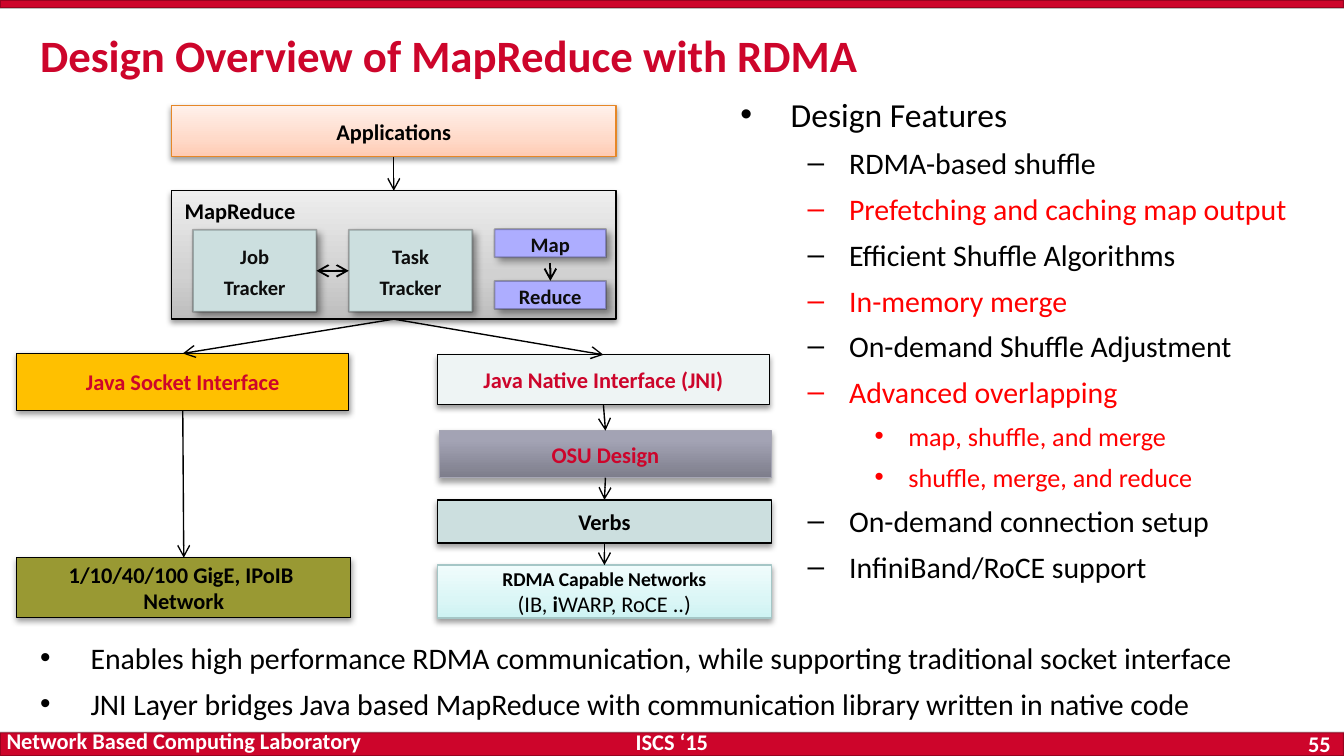
import copy

import pptx
import pptx.dml.color
import pptx.enum.shapes
import pptx.enum.text
import pptx.oxml
import pptx.oxml.ns
import pptx.util

Align = pptx.enum.text.PP_ALIGN
Anchor = pptx.enum.text.MSO_ANCHOR
Shapes = pptx.enum.shapes
qn = pptx.oxml.ns.qn
Pt = pptx.util.Pt

THEME = {
    "font": "Calibri", "bullet font": "Arial",
    "red": "CD052B", "accent": "FF0000", "black": "000000", "soft": "0D0D0D", "white": "FFFFFF",
    "title": 24, "head": 18, "body": 16, "detail": 14, "label": 12, "part": 11, "small": 10.5,
    "teal": "CCDFDF", "violet": "ADADFF", "olive": "999933", "amber": "FFC000", "mist": "EEF4F4",
    "teal edge": "A5C6C6", "slate edge": "A6A6B4", "orange edge": "E68727",
    "grey": [(0, "BDBDBD"), (0.35, "D1D1D1"), (1, "EEEEEE")],
    "aqua": [(0, "CDF3F3"), (0.35, "DBF6F6"), (1, "F0FCFC")],
    "slate": [(0, "7D7D8B"), (0.8, "A3A3B4"), (1, "A3A3B6")],
    "peach": [(0, "FFCBB3"), (0.35, "FFDAC9"), (1, "FFF1EB")],
    # opacity %, blur pt, distance pt, angle
    "drop": (38, 3.1, 1.6, 90), "corner": (40, 4, 3, 45),
}
RED, BLACK, SOFT, WHITE = (THEME[key] for key in ("red", "black", "soft", "white"))
LABEL, PART = THEME["label"], THEME["part"]

deck = pptx.Presentation()
deck.slide_width = pptx.util.Inches(10)
deck.slide_height = deck.slide_width * 9 // 16
slide = deck.slides.add_slide(deck.slide_layouts[6])
COL, ROW = deck.slide_width / 100, deck.slide_height / 56.25


def to_grid(left, top, width, height):
    """Turn columns and rows into slide lengths."""
    return [round(left * COL), round(top * ROW), round(width * COL), round(height * ROW)]


def add_runs(paragraph, runs):
    """Add (text, size, colour, bold) runs; a newline becomes a line break."""
    for text, size, colour, bold in runs:
        for number, piece in enumerate(text.split("\n")):
            if number:
                paragraph.add_line_break()
            run = paragraph.add_run()
            run.text = piece
            run.font.name = THEME["font"]
            run.font.size = Pt(size)
            run.font.bold = bold
            run.font.color.rgb = pptx.dml.color.RGBColor.from_string(colour)


# name: grid place, fill, edge colour (None for a faint edge), shadow, paragraphs
blocks = {
    "footer bar": ((0, 54.5, 100, 1.75), RED, None, None, []),
    "top bar": ((0, 0, 100, 0.6), RED, None, None, []),
    "mapreduce": ((12.75, 14.2, 33.1, 9.55), THEME["grey"], BLACK, "drop",
                  [[("MapReduce", LABEL, BLACK, True)]]),
    "verbs": ((32.55, 37.2, 24.85, 3.2), THEME["teal"], BLACK, "drop",
              [[("Verbs", LABEL, BLACK, True)]]),
    "rdma": ((32.55, 42.05, 24.85, 3.95), THEME["aqua"], THEME["teal edge"], "drop",
             [[("RDMA Capable Networks", THEME["small"], BLACK, True)],
              [("(IB, ", LABEL, BLACK, False), ("i", LABEL, BLACK, True),
               ("WARP, RoCE ..)", LABEL, BLACK, False)]]),
    "osu": ((32.7, 32.05, 24.7, 3.5), THEME["slate"], THEME["slate edge"], "drop",
            [[("OSU Design", LABEL, RED, True)]]),
    "applications": ((12.75, 7.85, 33.1, 3.8), THEME["peach"], THEME["orange edge"], "drop",
                     [[("Applications", LABEL, BLACK, True)]]),
    "network": ((1.25, 41.5, 24.85, 4.45), THEME["olive"], BLACK, "drop",
                [[("1/10/40/100 GigE, IPoIB \nNetwork", LABEL, BLACK, True)]]),
    "socket": ((1.25, 26.3, 24.7, 4.25), THEME["amber"], BLACK, "drop",
               [[("Java Socket Interface", LABEL, RED, True)]]),
    "jni": ((32.55, 26.4, 24.7, 3.7), THEME["mist"], BLACK, "drop",
            [[("Java Native Interface (JNI)", LABEL, RED, True)]]),
    "job": ((14.35, 17.1, 9.2, 6.1), THEME["teal"], None, "corner",
            [[("Job", PART, SOFT, True)], [("Tracker", PART, SOFT, True)]]),
    "task": ((25.95, 17.1, 9.2, 6.1), THEME["teal"], None, "corner",
             [[("Task", PART, SOFT, True)], [("Tracker", PART, SOFT, True)]]),
    "map": ((36.8, 17.05, 8.3, 2.1), THEME["violet"], None, "corner",
            [[("Map", PART, SOFT, True)]]),
    "reduce": ((36.8, 20.9, 8.3, 2.1), THEME["violet"], None, "corner",
               [[("Reduce", PART, SOFT, True)]]),
}

placed = {}
for name, (place, fill, edge, shadow, paragraphs) in blocks.items():
    block = slide.shapes.add_shape(Shapes.MSO_SHAPE.RECTANGLE, *to_grid(*place))
    placed[name] = block
    properties = block._element.spPr
    if isinstance(fill, list):
        block.fill.gradient()
        block.fill.gradient_angle = 90
        stops = properties.find(qn("a:gradFill")).find(qn("a:gsLst"))
        stops.append(copy.deepcopy(stops[-1]))
        for stop, (position, colour) in zip(block.fill.gradient_stops, fill):
            stop.position = position
            stop.color.rgb = pptx.dml.color.RGBColor.from_string(colour)
    else:
        block.fill.solid()
        block.fill.fore_color.rgb = pptx.dml.color.RGBColor.from_string(fill)

    block.line.color.rgb = pptx.dml.color.RGBColor.from_string(edge or BLACK)
    block.line.width = Pt(0.75 if edge else 1)
    if not edge:
        edge_colour = properties.find(qn("a:ln")).find(".//" + qn("a:srgbClr"))
        edge_colour.append(edge_colour.makeelement(qn("a:alpha"), {"val": "25000"}))

    block.shadow.inherit = False
    if shadow:
        opacity, blur, distance, angle = THEME[shadow]
        properties.find(qn("a:effectLst")).append(pptx.oxml.parse_xml(
            '<a:outerShdw xmlns:a="http://schemas.openxmlformats.org/drawingml/2006/main" '
            f'blurRad="{Pt(blur)}" dist="{Pt(distance)}" dir="{angle * 60000}" rotWithShape="0">'
            f'<a:srgbClr val="{BLACK}"><a:alpha val="{opacity * 1000}"/></a:srgbClr></a:outerShdw>'))

    frame = block.text_frame
    frame.vertical_anchor = Anchor.TOP if name == "mapreduce" else Anchor.MIDDLE
    for number, runs in enumerate(paragraphs):
        paragraph = frame.add_paragraph() if number else frame.paragraphs[0]
        paragraph.alignment = Align.LEFT if name == "mapreduce" else Align.CENTER
        if shadow == "corner":
            paragraph.line_spacing = 1.1
            paragraph.space_before = Pt(0.2 * PART if number else 0)
        add_runs(paragraph, runs)

# from, side, to, side, weight, arrowheads, rows left free at the start
TOP, LEFT, BOTTOM, RIGHT = range(4)
flows = [
    ("verbs", BOTTOM, "rdma", TOP, 0.75, ["tailEnd"], 0),
    ("osu", BOTTOM, "verbs", TOP, 0.75, ["tailEnd"], 0),
    ("jni", BOTTOM, "osu", TOP, 0.75, ["tailEnd"], 0),
    ("applications", BOTTOM, "mapreduce", TOP, 0.75, ["tailEnd"], 0),
    ("mapreduce", BOTTOM, "socket", TOP, 0.75, ["tailEnd"], 0),
    ("mapreduce", BOTTOM, "jni", TOP, 0.75, ["tailEnd"], 0),
    ("socket", BOTTOM, "network", TOP, 0.75, ["tailEnd"], 0),
    ("job", RIGHT, "task", LEFT, 1, ["headEnd", "tailEnd"], 0),
    ("map", BOTTOM, "reduce", TOP, 1, ["tailEnd"], 0.4),
]
for origin, exit_side, target, entry_side, weight, heads, gap in flows:
    source = placed[origin]
    flow = slide.shapes.add_connector(
        Shapes.MSO_CONNECTOR.STRAIGHT, source.left + source.width // 2,
        source.top + source.height + round(gap * ROW), 0, 0)
    if not gap:
        flow.begin_connect(source, exit_side)
    flow.end_connect(placed[target], entry_side)
    flow.line.color.rgb = pptx.dml.color.RGBColor.from_string(BLACK)
    flow.line.width = Pt(weight)
    properties = flow._element.spPr
    stroke = properties.find(qn("a:ln"))
    for head in heads:
        stroke.append(stroke.makeelement(qn("a:" + head), {"type": "arrow"}))
    properties.append(properties.makeelement(qn("a:effectLst"), {}))

# grid place, anchor, alignment, text, size, colour
captions = [
    ((0, 54.4, 100, 1.5), Anchor.MIDDLE, Align.CENTER, "ISCS ‘15", LABEL, WHITE),
    ((93.4, 54.4, 6.6, 1.8), Anchor.MIDDLE, Align.RIGHT, "55", LABEL, WHITE),
    ((-0.5, 54.7, 30.2, 1.9), Anchor.BOTTOM, Align.LEFT,
     "Network Based Computing Laboratory", LABEL, WHITE),
    ((2, 1.6, 90, 5.5), Anchor.TOP, Align.LEFT,
     "Design Overview of MapReduce with RDMA", THEME["title"], RED),
]
for place, anchor, alignment, text, size, colour in captions:
    frame = slide.shapes.add_textbox(*to_grid(*place)).text_frame
    frame.word_wrap = True
    frame.vertical_anchor = anchor
    frame.paragraphs[0].alignment = alignment
    add_runs(frame.paragraphs[0], [(text, size, colour, True)])

# per level: left margin and hanging indent in columns, bullet
LEVELS = [(3.75, 3.75, "•"), (8.1, 3.1, "–"), (12.5, 2.5, "•")]
HEAD, BODY, DETAIL, ACCENT = (THEME[key] for key in ("head", "body", "detail", "accent"))
lists = [
    ((2, 47.6, 97.5, 5.8), [
        (0, "Enables high performance RDMA communication, while supporting traditional socket interface",
         BODY, BLACK),
        (0, "JNI Layer bridges Java based MapReduce with communication library written in native code",
         BODY, BLACK)]),
    ((54.1, 7.1, 45.9, 35.5), [
        (0, "Design Features", HEAD, BLACK),
        (1, "RDMA-based shuffle", BODY, BLACK),
        (1, "Prefetching and caching map output", BODY, ACCENT),
        (1, "Efficient Shuffle Algorithms", BODY, BLACK),
        (1, "In-memory merge", BODY, ACCENT),
        (1, "On-demand Shuffle Adjustment", BODY, BLACK),
        (1, "Advanced overlapping", BODY, ACCENT),
        (2, "map, shuffle, and merge", DETAIL, ACCENT),
        (2, "shuffle, merge, and reduce", DETAIL, ACCENT),
        (1, "On-demand connection setup", BODY, BLACK),
        (1, "InfiniBand/RoCE support", BODY, BLACK)]),
]
for place, points in lists:
    frame = slide.shapes.add_textbox(*to_grid(*place)).text_frame
    frame.word_wrap = True
    for number, (level, text, size, colour) in enumerate(points):
        paragraph = frame.add_paragraph() if number else frame.paragraphs[0]
        margin, hanging, bullet = LEVELS[level]
        settings = paragraph._p.get_or_add_pPr()
        settings.set("marL", str(round(margin * COL)))
        settings.set("indent", str(round(-hanging * COL)))
        settings.append(settings.makeelement(qn("a:buFont"), {"typeface": THEME["bullet font"]}))
        settings.append(settings.makeelement(qn("a:buChar"), {"char": bullet}))
        paragraph.level = level
        paragraph.line_spacing = 0.8
        paragraph.space_before = Pt(0.2 * size if number else 0)
        paragraph.space_after = Pt(6)
        add_runs(paragraph, [(text, size, colour, False)])

deck.save("out.pptx")
